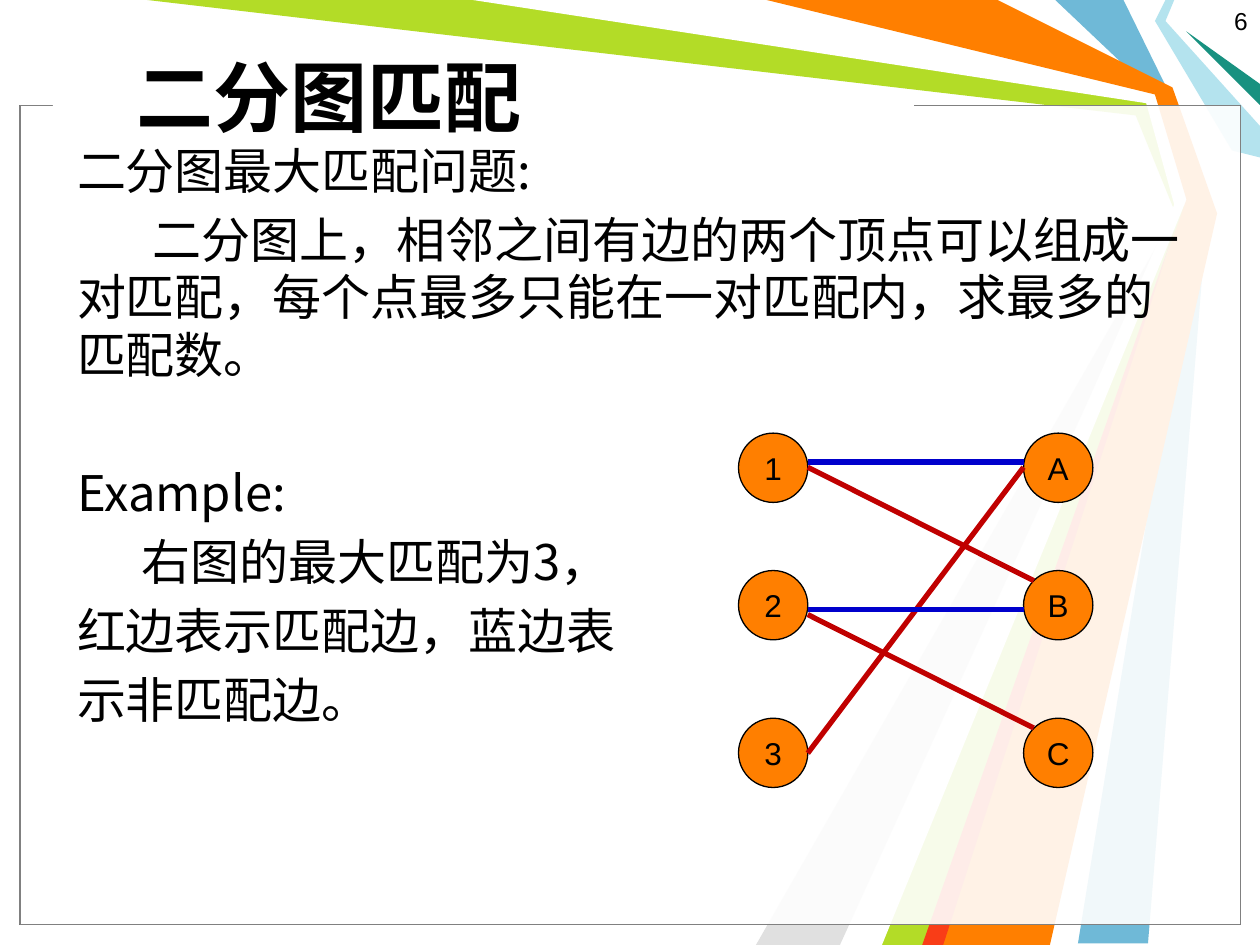
import pptx
import pptx.dml.color
import pptx.enum.shapes
import pptx.enum.text
import pptx.oxml.ns
import pptx.util
from lxml import etree

Pt = pptx.util.Pt
SHAPES = pptx.enum.shapes.MSO_SHAPE
ALIGN = pptx.enum.text.PP_ALIGN
ANCHOR = pptx.enum.text.MSO_ANCHOR
qn = pptx.oxml.ns.qn

CJK = "Noto Sans CJK SC"
ORANGE = "FF7F00"
RED = "C00000"
BLUE = "0000CC"

# Colour and corner points of each ray, from back to front
RAYS = [
    ("6FB9D7", [(642, 0), (669, 55), (690, 120), (656, 539), (616, 539),
                (684, 120), (660, 54), (603, 0)]),
    ("B3DC27", [(84, 0), (276, 0), (658, 56), (678, 122), (534, 540),
                (498, 540), (673, 125), (649, 66)]),
    ("E0E0E0", [(480, 540), (667, 130), (432, 540)]),
    ("FFFFFF", [(270, 0), (655, 59), (671, 117), (486, 540), (504, 540),
                (678, 114), (660, 54), (432, 0)]),
    ("B4E3EE", [(666, 0), (660, 12), (704, 86), (720, 90), (720, 72),
                (666, 12), (671, 0)]),
    ("189180", [(720, 60), (678, 18), (720, 48)]),
    (ORANGE, [(438, 0), (570, 0), (670, 50), (695.5, 122), (600, 540),
              (528, 540), (678, 114), (660, 54)]),
    ("F93D17", [(527, 540), (671, 132), (539, 540)]),
]


def colour(hex_string):
    """Return the colour for a hex string."""
    return pptx.dml.color.RGBColor.from_string(hex_string)


def paint(shape, fill, line=None, opacity=None):
    """Set fill, outline and opacity in percent, without a shadow."""
    shape.shadow.inherit = False
    shape.fill.solid()
    shape.fill.fore_color.rgb = colour(fill)
    if opacity is not None:
        fill_element = shape._element.spPr.find(qn("a:solidFill"))
        etree.SubElement(fill_element[0], qn("a:alpha"), val=str(opacity * 1000))
    if line:
        shape.line.color.rgb = colour(line)
        shape.line.width = Pt(0.75)
    else:
        shape.line.fill.background()


def write(paragraph, text, size=28, font=CJK, bold=False, align=ALIGN.LEFT,
          before=0, line_spacing=None, indent=0):
    """Put formatted text into a paragraph."""
    paragraph.alignment = align
    paragraph.space_before = Pt(before)
    if line_spacing:
        paragraph.line_spacing = Pt(line_spacing)
    if indent:
        paragraph._p.get_or_add_pPr().set("indent", str(Pt(indent)))
    run = paragraph.add_run()
    run.text = text
    run.font.name = font
    run.font.size = Pt(size)
    run.font.bold = bold
    run.font.color.rgb = colour("000000")
    etree.SubElement(run._r.get_or_add_rPr(), qn("a:ea"), typeface=font)


def add_text_frame(slide, box, anchor=ANCHOR.TOP):
    """Add a wrapping text box and return its text frame."""
    text_frame = slide.shapes.add_textbox(*map(Pt, box)).text_frame
    text_frame.word_wrap = True
    text_frame.vertical_anchor = anchor
    return text_frame


def add_rays(slide, box):
    """Draw the coloured background rays from the box's top left corner."""
    left, top = box[:2]
    for fill, points in RAYS:
        corners = [(Pt(left + x), Pt(top + y)) for x, y in points]
        builder = slide.shapes.build_freeform(*corners[0])
        builder.add_line_segments(corners[1:], close=True)
        paint(builder.convert_to_shape(), fill)


def add_frame(slide, box):
    """Draw the two translucent panels and the gap in the top edge."""
    for line in ("000000", "808080"):
        panel = slide.shapes.add_shape(SHAPES.RECTANGLE, *map(Pt, box))
        paint(panel, "FFFFFF", line, opacity=69)
    left, top = box[:2]
    gap = slide.shapes.add_shape(
        SHAPES.RECTANGLE, Pt(left + 18.7), Pt(top - 7.2), Pt(492), Pt(12))
    paint(gap, "FFFFFF")


def add_heading(slide, box):
    """Add the slide title."""
    text_frame = add_text_frame(slide, box, ANCHOR.MIDDLE)
    write(text_frame.paragraphs[0], "二分图匹配", size=44, bold=True)


def add_page_number(slide, box):
    """Add the page number."""
    write(add_text_frame(slide, box).paragraphs[0], "6", size=14, font="Arial",
          align=ALIGN.RIGHT)


def add_body(slide, box):
    """Add the problem statement and the example."""
    text_frame = add_text_frame(slide, box)
    normal, section = 6.3, 45.7
    rows = [
        ("二分图最大匹配问题:", normal, 0),
        ("二分图上，相邻之间有边的两个顶点可以组成一对匹配，"
         "每个点最多只能在一对匹配内，求最多的匹配数。", normal, 43),
        ("Example:", section, 0),
        ("右图的最大匹配为3，", normal, 37),
        ("红边表示匹配边，蓝边表", normal, 0),
        ("示非匹配边。", normal, 0),
    ]
    for index, (text, before, indent) in enumerate(rows):
        paragraph = (text_frame.add_paragraph() if index
                     else text_frame.paragraphs[0])
        write(paragraph, text, before=before, line_spacing=33.1, indent=indent)


def add_edge(slide, start, end, line):
    """Draw one straight edge of the graph."""
    edge = slide.shapes.add_connector(
        pptx.enum.shapes.MSO_CONNECTOR.STRAIGHT, *map(Pt, start + end))
    edge.line.color.rgb = colour(line)
    edge.line.width = Pt(3)
    etree.SubElement(edge._element.spPr, qn("a:effectLst"))


def add_graph(slide, box):
    """Draw the bipartite graph inside the box."""
    left, top, width, height = box
    size = 39.6
    right = left + width - size
    row_tops = [top, top + 78.5, top + height - size]
    for row_top, labels in zip(row_tops, ("1A", "2B", "3C")):
        for x, label in zip((left, right), labels):
            node = slide.shapes.add_shape(
                SHAPES.OVAL, Pt(x), Pt(row_top), Pt(size), Pt(size))
            paint(node, ORANGE, "000000")
            text_frame = node.text_frame
            text_frame.word_wrap = False
            text_frame.vertical_anchor = ANCHOR.MIDDLE
            text_frame.margin_left = text_frame.margin_right = 0
            write(text_frame.paragraphs[0], label, size=18, font="Arial",
                  align=ALIGN.CENTER)

    inner = left + size
    first, second, third = row_tops
    for y in (first + 19.5, second + 25.2):
        add_edge(slide, (inner, y), (right + 5.8, y + 64.8), RED)
    add_edge(slide, (inner, third + 20), (right, first + 19.5), RED)
    for y in (first + 16.5, second + 22.3):
        add_edge(slide, (inner, y), (right, y), BLUE)


def build():
    """Build and save the presentation."""
    presentation = pptx.Presentation()
    presentation.slide_width = Pt(720)
    presentation.slide_height = Pt(540)
    slide = presentation.slides.add_slide(presentation.slide_layouts[6])
    add_rays(slide, (0, 0, 720, 540))
    add_frame(slide, (11.5, 60.4, 697.5, 468))
    add_page_number(slide, (552, 0, 168, 37.5))
    add_heading(slide, (70.9, 9.4, 533, 90))
    add_body(slide, (37, 77, 648, 436))
    add_graph(slide, (422, 247.5, 202.5, 202.5))
    presentation.save("out.pptx")


build()
